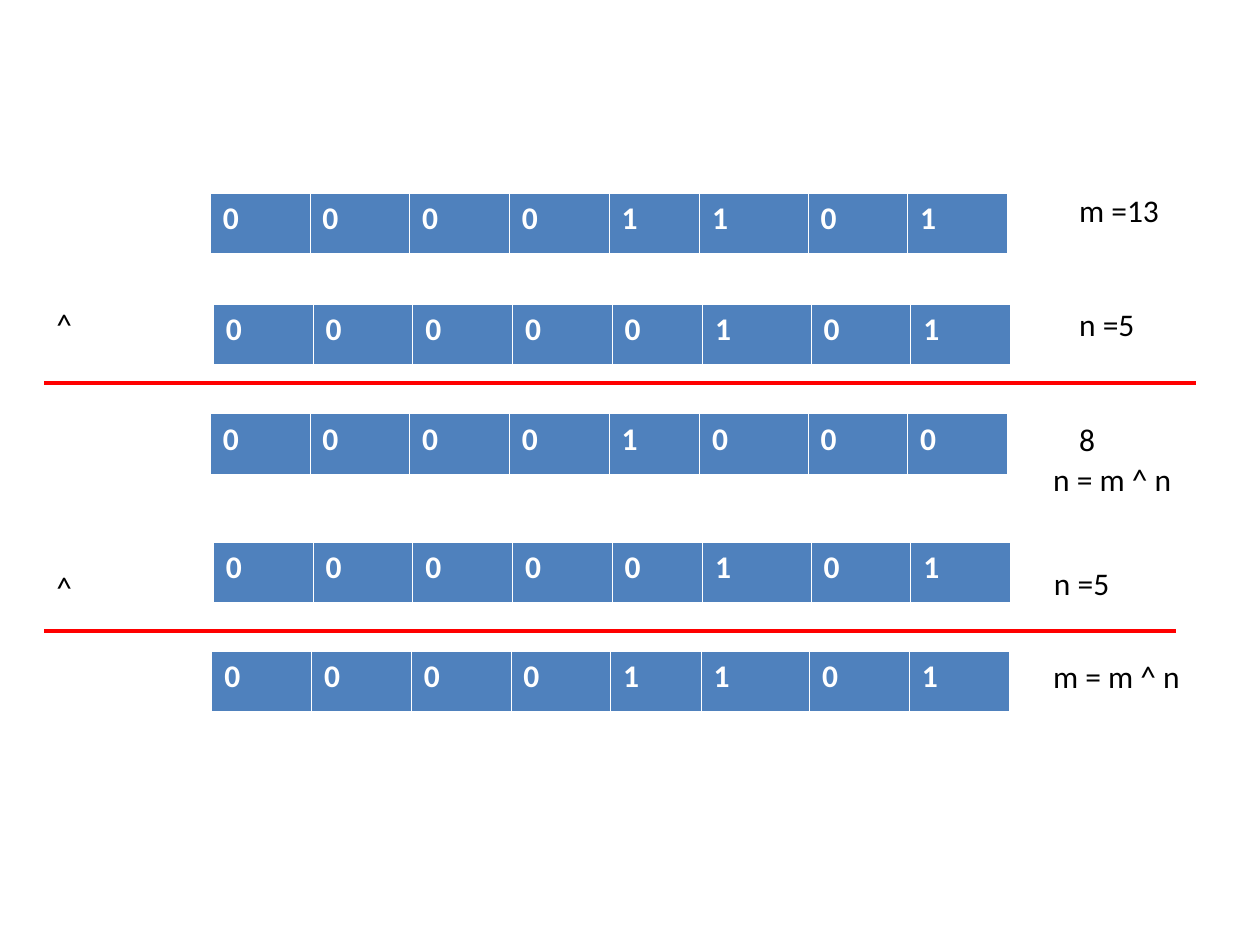
from pptx import Presentation
from pptx.dml.color import RGBColor
from pptx.enum.shapes import MSO_CONNECTOR
from pptx.enum.text import MSO_AUTO_SIZE
from pptx.oxml import parse_xml
from pptx.oxml.ns import nsdecls, qn
from pptx.util import Pt
from lxml import etree

STRAIGHT = MSO_CONNECTOR.STRAIGHT
GROW = MSO_AUTO_SIZE.SHAPE_TO_FIT_TEXT

# Content: bits with left and top
REGISTERS = [
    ("00001101", 120.1, 110.2),
    ("00000101", 121.9, 173.8),
    ("00001000", 120.1, 236.4),
    ("00000101", 121.9, 309.8),
    ("00001101", 121, 372),
]
# Labels: text, left, top, width
LABELS = [
    ("m =13", 609.6, 105.8, 62.6),
    ("n =5", 609.6, 171, 62.6),
    ("8", 609.6, 236.2, 62.6),
    ("n = m ^ n", 594.7, 259.4, 170),
    ("n =5", 595.2, 318.6, 62),
    ("m = m ^ n", 594.7, 372, 170),
    ("^", 25.2, 171, 96.5),
    ("^", 25.2, 321, 48.2),
]
# Result rules: right end, height on the slide
RULES = [(683.3, 218.9), (671.8, 360.7)]
RULE_LEFT = 25.2

BIT_WIDTHS = [57, 57, 57, 57, 51.7, 62, 57, 57]
BIT_HEIGHT = 35
LABEL_HEIGHT = 29

THEME = {
    "font": "Calibri",
    "size": 18,
    "text": RGBColor(0, 0, 0),
    "bit": RGBColor(255, 255, 255),
    "cell": RGBColor(0x4F, 0x81, 0xBD),
    "rule": RGBColor(255, 0, 0),
    "rule_width": 2.25,
    # Cell borders: side and width
    "borders": [("L", 0.45), ("R", 0.45), ("T", 0.45), ("B", 1.47)],
}


def add_text(frame, text, color, bold=False):
    run = frame.paragraphs[0].add_run()
    run.text = text
    run.font.name = THEME["font"]
    run.font.size = Pt(THEME["size"])
    run.font.bold = bold
    run.font.color.rgb = color


def add_borders(cell):
    properties = cell._tc.get_or_add_tcPr()
    for index, (side, width) in enumerate(THEME["borders"]):
        properties.insert(index, parse_xml(
            f'<a:ln{side} {nsdecls("a")} w="{Pt(width)}"><a:solidFill>'
            f'<a:srgbClr val="{THEME["bit"]}"/></a:solidFill></a:ln{side}>'))


def add_register(slide, bits, left, top):
    register = slide.shapes.add_table(
        1, len(bits), Pt(left), Pt(top),
        Pt(sum(BIT_WIDTHS)), Pt(BIT_HEIGHT)).table
    register.first_row = register.horz_banding = False
    for column, (bit, width) in enumerate(zip(bits, BIT_WIDTHS)):
        register.columns[column].width = Pt(width)
        cell = register.cell(0, column)
        cell.fill.solid()
        cell.fill.fore_color.rgb = THEME["cell"]
        add_borders(cell)
        add_text(cell.text_frame, bit, THEME["bit"], bold=True)


def add_label(slide, text, left, top, width):
    label = slide.shapes.add_textbox(
        Pt(left), Pt(top), Pt(width), Pt(LABEL_HEIGHT))
    label.text_frame.word_wrap = True
    label.text_frame.auto_size = GROW
    add_text(label.text_frame, text, THEME["text"])


def add_rule(slide, right, height):
    rule = slide.shapes.add_connector(
        STRAIGHT, Pt(RULE_LEFT), Pt(height), Pt(right), Pt(height))
    rule.line.color.rgb = THEME["rule"]
    rule.line.width = Pt(THEME["rule_width"])
    etree.SubElement(rule._element.spPr, qn("a:effectLst"))


def main():
    deck = Presentation()
    deck.slide_width, deck.slide_height = Pt(720), Pt(540)
    slide = deck.slides.add_slide(deck.slide_layouts[6])

    # Bit patterns
    for register in REGISTERS:
        add_register(slide, *register)
    # Lines above each result
    for rule in RULES:
        add_rule(slide, *rule)
    # Values and XOR signs
    for label in LABELS:
        add_label(slide, *label)

    deck.save("out.pptx")


if __name__ == "__main__":
    main()
